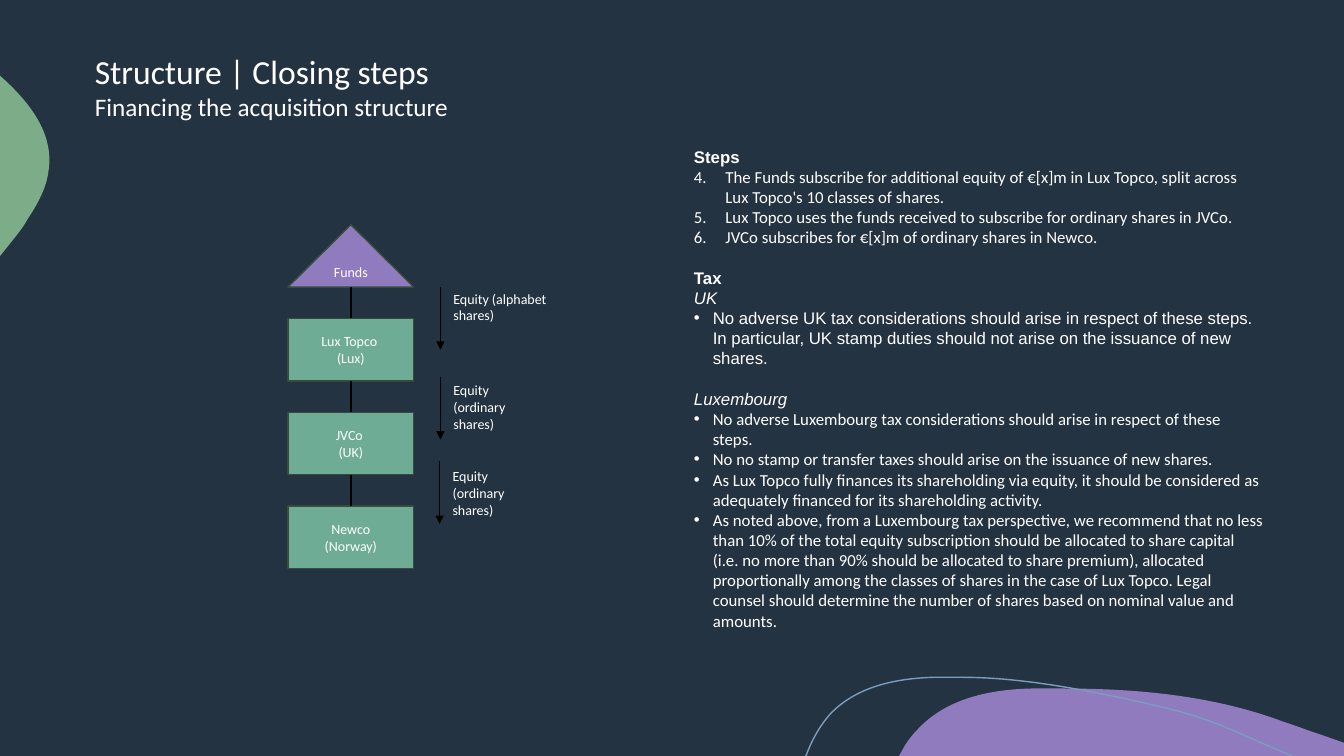
from lxml.etree import SubElement
from pptx import Presentation
from pptx.dml.color import RGBColor
from pptx.enum.shapes import MSO_CONNECTOR, MSO_SHAPE
from pptx.enum.text import MSO_ANCHOR, MSO_AUTO_SIZE, PP_ALIGN
from pptx.oxml.ns import qn
from pptx.util import Pt

HUES = {"back": "243341", "white": "FFFFFF", "black": "000000", "purple": "8F7BBE",
        "leaf": "7DAD88", "teal": "6FAC96", "edge": "374C3C", "curve": "7B9EBE"}

HEADS = [("Structure | Closing steps", 24), ("Financing the acquisition structure", 18)]

NOTES = [
    ("head", "Steps"),
    ("step", "The Funds subscribe for additional equity of €[x]m in Lux Topco, split across Lux Topco's 10 classes of shares."),
    ("step", "Lux Topco uses the funds received to subscribe for ordinary shares in JVCo."),
    ("step", "JVCo subscribes for €[x]m of ordinary shares in Newco."),
    ("head", "Tax"),
    ("land", "UK"),
    ("point", "No adverse UK tax considerations should arise in respect of these steps. In particular, UK stamp duties should not arise on the issuance of new shares.", "Arial"),
    ("land", "Luxembourg"),
    ("point", "No adverse Luxembourg tax considerations should arise in respect of these steps."),
    ("point", "No no stamp or transfer taxes should arise on the issuance of new shares."),
    ("point", "As Lux Topco fully finances its shareholding via equity, it should be considered as adequately financed for its shareholding activity."),
    ("point", "As noted above, from a Luxembourg tax perspective, we recommend that no less than 10% of the total equity subscription should be allocated to share capital (i.e. no more than 90% should be allocated to share premium), allocated proportionally among the classes of shares in the case of Lux Topco. Legal counsel should determine the number of shares based on nominal value and amounts."),
]
GAPS = {"Tax": 14.5, "Luxembourg": 14.5}
INDENTS = {"step": 22.5, "point": 13.5}

UNITS = [["Funds"], ["Lux Topco ", "(Lux)"], ["JVCo ", "(UK)"], ["Newco", "(Norway)"]]
LEFT, TOP, WIDE, HIGH, PITCH = 205.6, 160.5, 90, 44.6, 67

FLOWS = [
    ("Equity (alphabet shares)", 314.6, 205.2, 203.6, 86.4),
    ("Equity (ordinary shares)", 314.6, 269.3, 269.3, 64.4),
    ("Equity (ordinary shares)", 314, 329.6, 330.5, 64.4),
]

BLOBS = [
    ("purple", None, [
        (758.9, 491.8), (812.2, 491.8, 866.9, 496.8, 916.6, 515.5),
        (925.9, 518.4, 934.6, 522, 943.9, 524.9), (960, 530.6), (960, 540), (642.2, 540),
        (646.6, 532.1), (649.4, 527.8, 652.3, 524.2, 655.9, 520.6),
        (676.1, 499, 707, 492.5, 736.6, 491.8), (743.8, 491.8, 751, 491.8, 758.9, 491.8)]),
    ("leaf", None, [
        (0, 54), (0.7, 54.7), (21.6, 73.4, 38.9, 95.8, 34.6, 122.4),
        (33.1, 134.6, 26.6, 146.2, 19.4, 157), (17.3, 161.3, 12.2, 167.8, 5.8, 175.7), (0, 182.9)]),
    (None, "curve", [
        (575.3, 540), (576, 539.3), (580.3, 527.8, 586.1, 517.7, 593.3, 509.8),
        (612, 490.3, 640.1, 484.6, 666.7, 483.8), (687.6, 483.8),
        (735.8, 483.8, 792, 496.1, 831.6, 505.4), (870.5, 514.8, 882.7, 523.4, 923, 540)]),
]


def tint(name):
    return RGBColor.from_string(HUES[name])


def style(para, size, face="Calibri", bold=False, slant=False):
    font = para.font
    font.size, font.name, font.bold, font.italic = Pt(size), face, bold, slant
    font.color.rgb = tint("white")


def paint(shape, fill, line):
    shape.shadow.inherit = False
    if fill:
        shape.fill.solid()
        shape.fill.fore_color.rgb = tint(fill)
    else:
        shape.fill.background()
    if line:
        shape.line.color.rgb = tint(line)
        shape.line.width = Pt(1)
    else:
        shape.line.fill.background()


def bend(shape, nodes):
    steps = list(shape._element.iter(qn("a:lnTo")))
    for step, node in zip(steps, nodes[1:]):
        if len(node) == 2:
            continue
        step.tag = qn("a:cubicBezTo")
        for i, (x, y) in enumerate((node[:2], node[2:4])):
            spot = step.makeelement(qn("a:pt"), x=str(Pt(x) - shape.left), y=str(Pt(y) - shape.top))
            step.insert(i, spot)


def add_blob(shapes, fill, line, nodes):
    spots = [(Pt(node[-2]), Pt(node[-1])) for node in nodes]
    pen = shapes.build_freeform(*spots[0], scale=1.0)
    pen.add_line_segments(spots[1:], close=fill is not None)
    blob = pen.convert_to_shape()
    bend(blob, nodes)
    paint(blob, fill, line)


def add_line(shapes, x, top, end, width, arrow=False):
    line = shapes.add_connector(MSO_CONNECTOR.STRAIGHT, Pt(x), Pt(top), Pt(x), Pt(end))
    line.line.color.rgb = tint("black")
    line.line.width = Pt(width)
    if arrow:
        SubElement(line.line._get_or_add_ln(), qn("a:tailEnd"), type="triangle")
    SubElement(line._element.spPr, qn("a:effectLst"))


def add_box(shapes, left, top, wide, high):
    frame = shapes.add_textbox(Pt(left), Pt(top), Pt(wide), Pt(high)).text_frame
    frame.word_wrap = True
    return frame


def next_para(frame, i):
    return frame.add_paragraph() if i else frame.paragraphs[0]


def mark(para, kind):
    props = para._p.get_or_add_pPr()
    props.set("marL", str(Pt(INDENTS[kind])))
    props.set("indent", str(-Pt(INDENTS[kind])))
    if kind == "step":
        SubElement(props, qn("a:buAutoNum"), type="arabicPeriod", startAt="4")
    else:
        SubElement(props, qn("a:buFont"), typeface="Arial")
        SubElement(props, qn("a:buChar"), char="•")


def add_title(slide):
    title = slide.shapes.title
    title.left, title.top, title.width, title.height = Pt(60.5), Pt(32.8), Pt(299.5), Pt(58.3)
    frame = title.text_frame
    frame.auto_size, frame.vertical_anchor = MSO_AUTO_SIZE.NONE, MSO_ANCHOR.TOP
    frame.word_wrap = False
    for i, (text, size) in enumerate(HEADS):
        para = next_para(frame, i)
        para.text, para.alignment = text, PP_ALIGN.LEFT
        style(para, size)


def add_notes(shapes):
    frame = add_box(shapes, 488.6, 101, 421.2, 399.6)
    for i, (kind, text, *face) in enumerate(NOTES):
        para = next_para(frame, i)
        para.text = text
        if text in GAPS:
            para.space_before = Pt(GAPS[text])
        if kind in INDENTS:
            mark(para, kind)
        plain = "Calibri" if kind in INDENTS else "Arial"
        style(para, 12, face[0] if face else plain, kind == "head", kind == "land")


def add_chain(shapes):
    for i, lines in enumerate(UNITS):
        top = TOP + i * PITCH
        form = MSO_SHAPE.RECTANGLE if i else MSO_SHAPE.ISOSCELES_TRIANGLE
        unit = shapes.add_shape(form, Pt(LEFT), Pt(top), Pt(WIDE), Pt(HIGH))
        paint(unit, "teal" if i else "purple", "edge")
        unit.text_frame.vertical_anchor = MSO_ANCHOR.MIDDLE
        for j, text in enumerate(lines):
            para = next_para(unit.text_frame, j)
            para.text, para.alignment = text, PP_ALIGN.CENTER
            style(para, 10)
        if i:
            add_line(shapes, LEFT + WIDE / 2, top - PITCH + HIGH, top, 1)


def add_flows(shapes):
    for text, x, top, label, wide in FLOWS:
        add_line(shapes, x, top, top + HIGH, 0.5, True)
        para = add_box(shapes, x + 2.2, label, wide, 43.9).paragraphs[0]
        para.text = text
        style(para, 10)


def main():
    deck = Presentation()
    deck.slide_width, deck.slide_height = Pt(960), Pt(540)
    slide = deck.slides.add_slide(deck.slide_layouts[5])
    slide.background.fill.solid()
    slide.background.fill.fore_color.rgb = tint("back")
    for blob in BLOBS:
        add_blob(slide.shapes, *blob)
    add_title(slide)
    add_notes(slide.shapes)
    add_chain(slide.shapes)
    add_flows(slide.shapes)
    deck.save("out.pptx")


if __name__ == "__main__":
    main()
